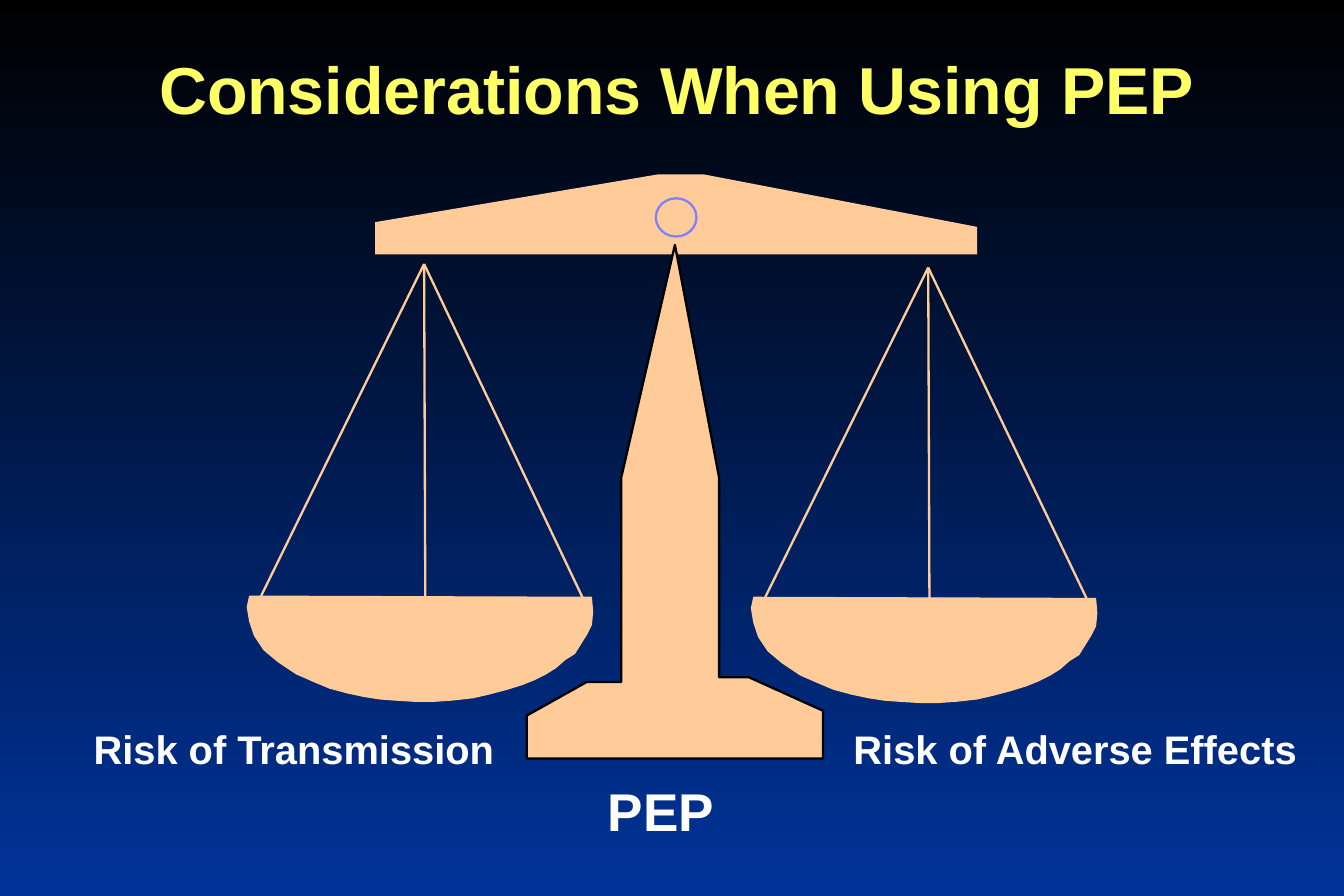
from pptx import Presentation
from pptx.dml.color import RGBColor
from pptx.enum.shapes import MSO_CONNECTOR as Connector, MSO_SHAPE as Preset
from pptx.enum.text import MSO_ANCHOR as Anchor, MSO_AUTO_SIZE as AutoSize, PP_ALIGN as Align
from pptx.oxml.ns import qn
from pptx.util import Inches, Pt
from lxml.etree import SubElement

BRASS = "FFCC99"
WHITE = "FFFFFF"
THIN = 1.39

BEAM = [(3.14, 2.13), (8.18, 2.13), (8.18, 1.9), (5.89, 1.46), (5.51, 1.46), (3.14, 1.86)]
PILLAR = [(5.65, 2.05), (6.02, 4), (6.02, 5.67), (6.27, 5.67), (6.89, 5.95), (6.89, 6.35),
          (4.41, 6.35), (4.41, 5.99), (4.91, 5.71), (5.2, 5.71), (5.2, 4)]
PAN = [(2.09, 4.99), (2.07, 5.08), (2.09, 5.2), (2.13, 5.32), (2.21, 5.44), (2.33, 5.54),
       (2.48, 5.64), (2.64, 5.71), (2.76, 5.76), (2.91, 5.8), (3.05, 5.83), (3.18, 5.85),
       (3.31, 5.86), (3.48, 5.87), (3.63, 5.87), (3.78, 5.86), (3.96, 5.84), (4.09, 5.81),
       (4.24, 5.77), (4.37, 5.73), (4.47, 5.69), (4.57, 5.64), (4.65, 5.59), (4.73, 5.52),
       (4.81, 5.47), (4.86, 5.39), (4.91, 5.31), (4.95, 5.23), (4.96, 5.12), (4.95, 5)]
STRING_ENDS = [(4.89, 5.03), (3.56, 5), (2.18, 5)]
HOOK_X = 3.55


def color(value):
    return RGBColor.from_string(value)


class ScaleSlide:
    """Holds the slide and draws its styled elements."""

    def __init__(self, presentation, font="Arial"):
        self.slide = presentation.slides.add_slide(presentation.slide_layouts[5])
        self.font = font

    def background(self, top, bottom):
        fill = self.slide.background.fill
        fill.gradient()
        fill.gradient_angle = 270
        for stop, value in zip(fill.gradient_stops, (top, bottom)):
            stop.color.rgb = color(value)

    def set_text(self, shape, box, text, size, value, align=Align.CENTER, spacing=1.0):
        shape.left, shape.top, shape.width, shape.height = map(Inches, box)
        frame = shape.text_frame
        frame.text = text
        frame.word_wrap = True
        frame.auto_size = AutoSize.NONE
        frame.vertical_anchor = Anchor.TOP
        paragraph = frame.paragraphs[0]
        paragraph.alignment = align
        paragraph.line_spacing = spacing
        font = paragraph.runs[0].font
        font.name, font.size, font.bold = self.font, Pt(size), True
        font.color.rgb = color(value)

    def title(self, box, text, size, value):
        self.set_text(self.slide.shapes.title, box, text, size, value, spacing=0.75)

    def label(self, box, text, size, **options):
        shape = self.slide.shapes.add_textbox(*map(Inches, box))
        self.set_text(shape, box, text, size, WHITE, **options)

    def group(self):
        return self.slide.shapes.add_group_shape().shapes

    def paint(self, shape, line=None, width=THIN):
        shape.shadow.inherit = False
        shape.fill.solid()
        shape.fill.fore_color.rgb = color(BRASS)
        if line:
            shape.line.color.rgb = color(line)
            shape.line.width = Pt(width)
        else:
            shape.line.fill.background()

    def outline(self, shapes, points, **style):
        corners = [(Inches(x), Inches(y)) for x, y in points]
        builder = shapes.build_freeform(*corners[0])
        builder.add_line_segments(corners[1:], close=True)
        self.paint(builder.convert_to_shape(), **style)

    def ellipse(self, shapes, box, **style):
        self.paint(shapes.add_shape(Preset.OVAL, *map(Inches, box)), **style)

    def string(self, shapes, start, end):
        line = shapes.add_connector(Connector.STRAIGHT, *map(Inches, start + end))
        line.line.color.rgb = color(BRASS)
        line.line.width = Pt(THIN)
        SubElement(line._element.spPr, qn("a:effectLst"))

    def pan(self, hook_y, right=0, down=0):
        shapes = self.group()
        for x, y in STRING_ENDS:
            self.string(shapes, (HOOK_X + right, hook_y), (x + right, y + down))
        self.outline(shapes, [(x + right, y + down) for x, y in PAN], line=BRASS, width=0.75)


def main():
    presentation = Presentation()
    presentation.slide_width, presentation.slide_height = Inches(11.25), Inches(7.5)
    scale = ScaleSlide(presentation)
    scale.background("000000", "003399")
    scale.title((1, 0.51, 9.33, 0.6), "Considerations When Using PEP", 40, "FFFF66")
    scale.label((6.92, 6.02, 4.16, 0.5), "Risk of Adverse Effects", 24)
    scale.label((0.34, 6.02, 4.24, 0.5), "Risk of Transmission", 24)
    scale.label((4.99, 6.59, 1.26, 0.5), "PEP", 32, align=Align.LEFT, spacing=0.75)

    stand = scale.group()
    scale.outline(stand, BEAM)
    scale.ellipse(stand, (5.49, 1.66, 0.34, 0.32), line="8080FF")
    scale.outline(stand, PILLAR, line="000000")
    scale.pan(2.21)
    scale.pan(2.24, right=4.22, down=0.01)
    presentation.save("out.pptx")


if __name__ == "__main__":
    main()
